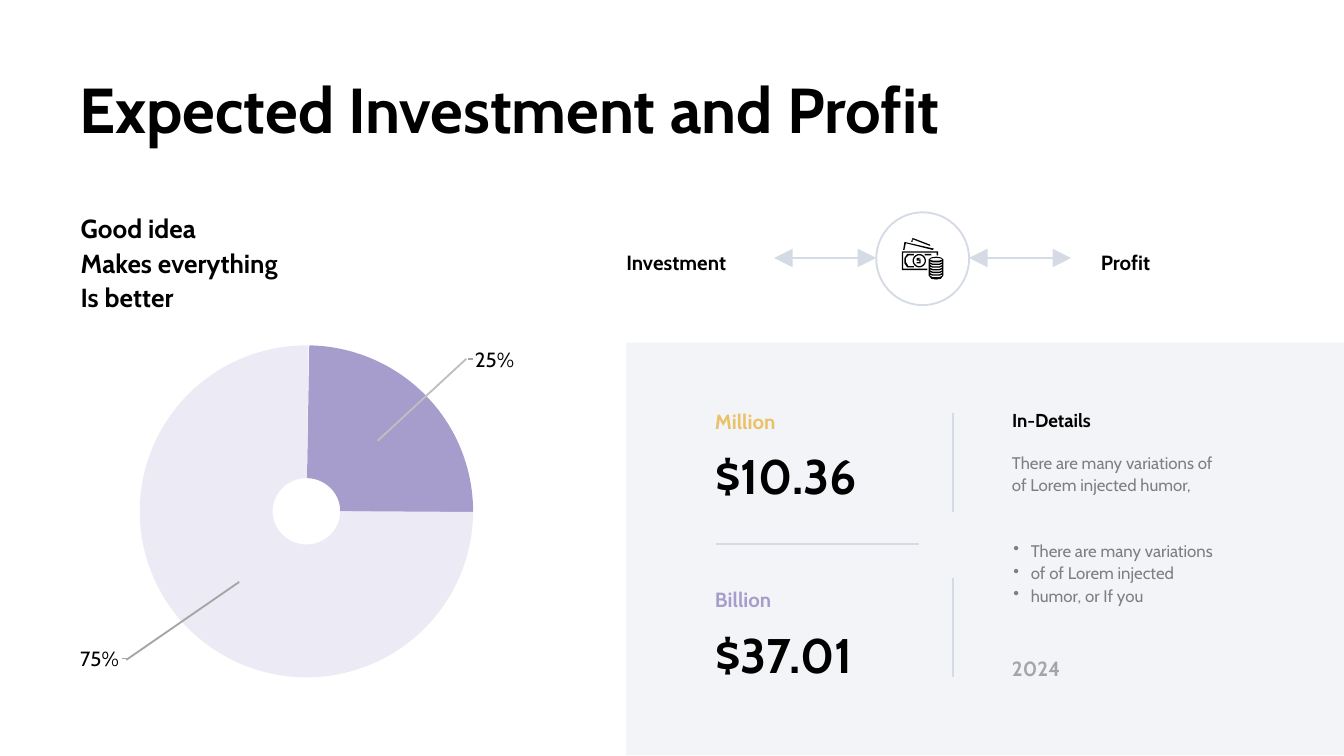
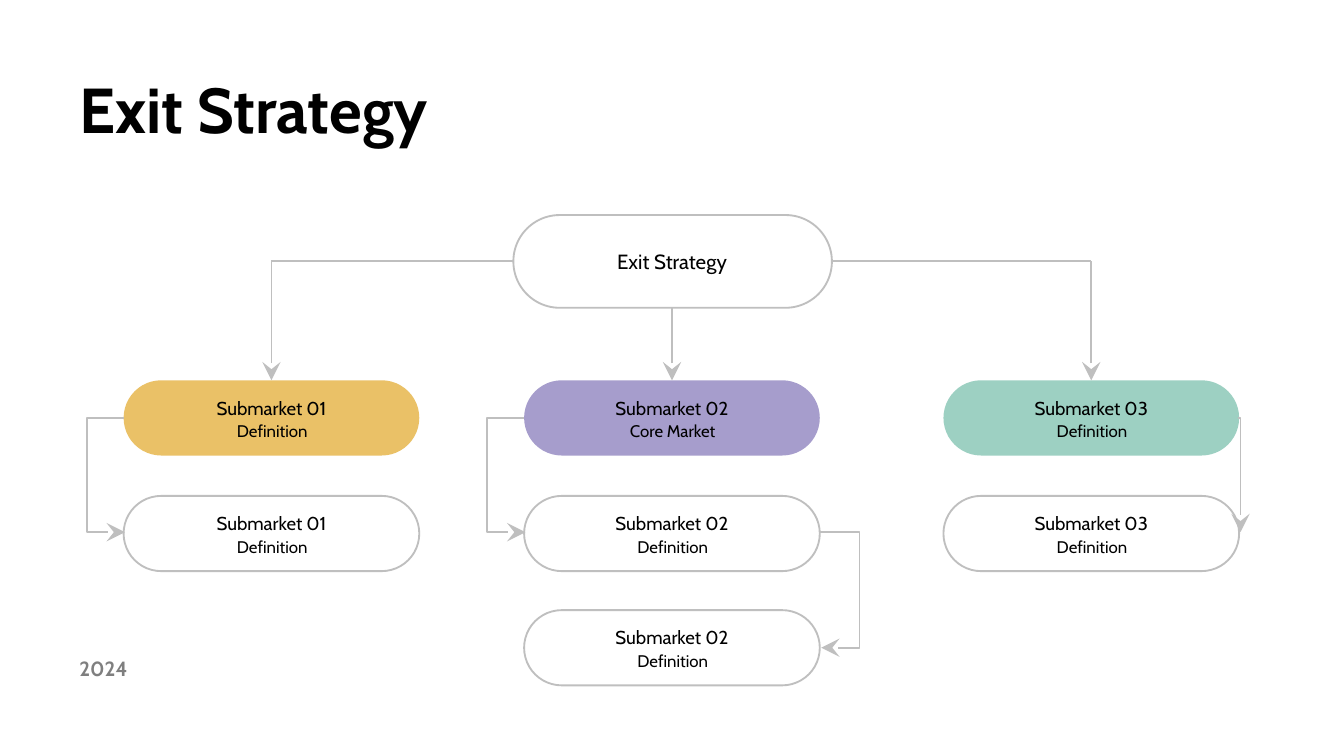
"""Build two business slides: expected investment and profit, and the exit strategy tree."""
import math

import lxml.etree
import pptx
import pptx.dml.color
import pptx.enum.shapes
import pptx.enum.text
import pptx.oxml.ns
import pptx.util

PX = 9144
FONT = "Cabin"
BLACK = pptx.dml.color.RGBColor(0x00, 0x00, 0x00)
WHITE = pptx.dml.color.RGBColor(0xFF, 0xFF, 0xFF)
GOLD = pptx.dml.color.RGBColor(0xEA, 0xC1, 0x67)
PURPLE = pptx.dml.color.RGBColor(0xA6, 0x9D, 0xCC)
LILAC = pptx.dml.color.RGBColor(0xEC, 0xEA, 0xF4)
MINT = pptx.dml.color.RGBColor(0x9D, 0xD0, 0xC2)
MIST = pptx.dml.color.RGBColor(0xD5, 0xDB, 0xE5)
SILVER = pptx.dml.color.RGBColor(0xBF, 0xBF, 0xBF)
ASH = pptx.dml.color.RGBColor(0xA5, 0xA5, 0xA5)
GRAY = pptx.dml.color.RGBColor(0x7F, 0x7F, 0x7F)
SHAPE = pptx.enum.shapes.MSO_SHAPE
CONNECTOR = pptx.enum.shapes.MSO_CONNECTOR
ALIGN = pptx.enum.text.PP_ALIGN
qn = pptx.oxml.ns.qn


def write_text(shapes, place, lines, size, color=BLACK, bold=False, align=ALIGN.LEFT, spacing=None, box=None):
    """Place a text box, or the given box, and write one paragraph a line."""
    box = box or shapes.add_textbox(0, 0, 0, 0)
    box.left, box.top, box.width, box.height = [value * PX for value in place]
    frame = box.text_frame
    frame.word_wrap = True
    frame.auto_size = pptx.enum.text.MSO_AUTO_SIZE.NONE
    frame.vertical_anchor = pptx.enum.text.MSO_ANCHOR.TOP
    frame.margin_left = frame.margin_right = 7 * PX
    frame.margin_top = frame.margin_bottom = 4 * PX
    frame.text = "\n".join(lines)
    for para in frame.paragraphs:
        para.alignment = align
        para.line_spacing = spacing
        para.font.name = FONT
        para.font.size = pptx.util.Pt(size)
        para.font.bold = bold
        para.font.color.rgb = color
    return box


def draw_line(page, start, end, color, width=1, arrows=(), kind=CONNECTOR.STRAIGHT):
    """Draw a connector; arrows lists (headEnd or tailEnd, arrow type)."""
    line = page.shapes.add_connector(kind, *[value * PX for value in start + end])
    line.line.color.rgb = color
    line.line.width = pptx.util.Pt(width)
    properties = line.element.spPr
    for side, arrow in arrows:
        lxml.etree.SubElement(properties.find(qn("a:ln")), qn("a:" + side), type=arrow, w="lg", len="lg")
    lxml.etree.SubElement(properties, qn("a:effectLst"))
    return line


deck = pptx.Presentation()
deck.slide_width = 1000 * PX
deck.slide_height = deck.slide_width * 9 // 16
pages = []
for heading in ("Expected Investment and Profit", "Exit Strategy"):
    page = deck.slides.add_slide(deck.slide_layouts[5])
    write_text(page.shapes, (52, 48, 807, 65), [heading], 34, bold=True, box=page.shapes.title)
    pages.append(page)
profit, strategy = pages

draw_line(strategy, (202, 194), (812, 194), SILVER)

columns = [
    (92, "Submarket 01", GOLD, ["Definition", "Definition"]),
    (390, "Submarket 02", PURPLE, ["Core Market", "Definition", "Definition"]),
    (702, "Submarket 03", MINT, ["Definition", "Definition"]),
]
rows = (283, 369, 454)
pie = (104, 257, 248, 247)
panels = [
    (profit, SHAPE.BLOCK_ARC, pie, (162.59, 0.16, 0.4), PURPLE, None),
    (profit, SHAPE.BLOCK_ARC, pie, (0.11, 162.44, 0.4), LILAC, None),
    (profit, SHAPE.OVAL, (652, 158, 69, 69), (), None, MIST),
    (profit, SHAPE.RECTANGLE, (466, 255, 534, 307), (), MIST, None),
    (strategy, SHAPE.ROUNDED_RECTANGLE, (382, 160, 237, 69), (0.5,), WHITE, SILVER),
]
for left, name, color, notes in columns:
    for row, (top, note) in enumerate(zip(rows, notes)):
        fill, edge = (None, SILVER) if row else (color, None)
        panels.append((strategy, SHAPE.ROUNDED_RECTANGLE, (left, top, 220, 56), (0.5,), fill, edge))

for page, kind, place, adjustments, fill, edge in panels:
    panel = page.shapes.add_shape(kind, *[value * PX for value in place])
    panel.shadow.inherit = False
    for index, adjustment in enumerate(adjustments):
        panel.adjustments[index] = adjustment
    if fill is None:
        panel.fill.background()
    else:
        panel.fill.solid()
        panel.fill.fore_color.rgb = fill
    if edge is None:
        panel.line.fill.background()
    else:
        panel.line.color.rgb = edge
        panel.line.width = pptx.util.Pt(1)
    if kind == SHAPE.RECTANGLE:
        tint = panel.element.spPr.find(qn("a:solidFill"))[0]
        lxml.etree.SubElement(tint, qn("a:alpha"), val="28000")

for top, unit, color, amount in ((300, "Million", GOLD, "$10.36"), (433, "Billion", PURPLE, "$37.01")):
    group = profit.shapes.add_group_shape()
    write_text(group.shapes, (525, top + 28, 138, 47), [amount], 26, bold=True)
    write_text(group.shapes, (525, top, 94, 25), [unit], 11, color, bold=True)

write_text(profit.shapes, (459, 182, 154, 24), ["Investment"], 11, bold=True)
write_text(profit.shapes, (812, 182, 138, 24), ["Profit"], 11, bold=True)
write_text(profit.shapes, (53, 152, 235, 83), ["Good idea", "Makes everything", "Is better"], 14, bold=True, spacing=1.1)
write_text(profit.shapes, (746, 300, 139, 24), ["In-Details"], 10, bold=True)
write_text(profit.shapes, (746, 331, 166, 56), ["There are many variations of of Lorem injected humor,"], 9, GRAY, spacing=1.1)
details = ["There are many variations", "of of Lorem injected", "humor, or If you"]
bullets = write_text(profit.shapes, (746, 397, 180, 56), details, 9, GRAY, spacing=1.1)
for para in bullets.text_frame.paragraphs:
    settings = para._p.pPr
    settings.set("marL", str(14 * PX))
    settings.set("indent", str(-13 * PX))
    defaults = settings.find(qn("a:defRPr"))
    tint = lxml.etree.Element(qn("a:buClr"))
    lxml.etree.SubElement(tint, qn("a:srgbClr"), val=str(GRAY))
    defaults.addprevious(tint)
    defaults.addprevious(lxml.etree.Element(qn("a:buChar"), char="•"))
write_text(profit.shapes, (746, 484, 204, 25), ["2024"], 11, ASH, bold=True)
for place, share in (((44, 477, 60, 24), "75%"), ((345, 254, 46, 24), "25%")):
    write_text(profit.shapes, place, [share], 11, align=ALIGN.CENTER)

for left in (576, 721):
    both = [("headEnd", "triangle"), ("tailEnd", "triangle")]
    draw_line(profit, (left, 192), (left + 76, 192), MIST, 0.75, both)
for start, end, color in (
    ((533, 405), (684, 405), MIST),
    ((709, 381), (709, 307), MIST),
    ((709, 504), (709, 430), MIST),
    ((178, 433), (94, 491), ASH),
    ((95, 490), (91, 490), ASH),
    ((352, 267), (348, 267), ASH),
    ((347, 267), (281, 328), SILVER),
):
    draw_line(profit, start, end, color)

money = [
    [(671, 187), (698, 187), (698, 190), (697, 190), (697, 188), (672, 188), (672, 200), (690, 200), (690, 201), (671, 201)],
    [(672, 186), (673, 180), (695, 185), (694, 186), (674, 181), (673, 186)],
    [(678, 180), (679, 177), (692, 182), (692, 183), (679, 178), (679, 180)],
    [(688, 189), (693, 189), (693, 190), (688, 190)],
    [(680, 189), (675, 189), (673, 192), (673, 196), (675, 199), (680, 199),
     (680, 198), (676, 198), (674, 195), (674, 192), (676, 190), (680, 190)],
    [(685, 192), (682, 192), (682, 194), (684, 194), (684, 195), (682, 195), (682, 196), (685, 196), (685, 193), (683, 193)],
    [(691, 193), (693, 191.5), (696.5, 191), (700, 191.5), (702, 193),
     (702, 205), (700, 207.5), (696.5, 208), (693, 207.5), (691, 205)],
]
for center_x, center_y, radius_x, radius_y in ((684, 194, 5, 5), (684, 194, 4, 4), (696.5, 193, 4.5, 1)):
    angles = [step * math.pi / 12 for step in range(24)]
    money.append([(center_x + radius_x * math.cos(angle), center_y + radius_y * math.sin(angle)) for angle in angles])
for top in range(195, 206, 2):
    money.append([(692, top - 0.6), (694, top + 0.2), (699, top + 0.2), (701, top - 0.6),
                  (701, top + 0.2), (699, top + 1.2), (694, top + 1.2), (692, top + 0.2)])
outlines = [[(x * 10, y * 10) for x, y in outline] for outline in money]
builder = profit.shapes.build_freeform(*outlines[0][0], scale=PX / 10)
for outline in outlines:
    builder.move_to(*outline[0])
    builder.add_line_segments(outline[1:], close=True)
icon = builder.convert_to_shape()
icon.shadow.inherit = False
icon.fill.solid()
icon.fill.fore_color.rgb = BLACK
icon.line.fill.background()

for x, top in ((202, 194), (812, 194), (500, 229)):
    draw_line(strategy, (x, 283), (x, top), SILVER, arrows=[("headEnd", "stealth")])
for start, end, bend in (
    ((92, 311), (93, 396), -28),
    ((390, 311), (391, 396), -28),
    ((610, 396), (611, 482), 30),
    ((921, 311), (923, 396), None),
):
    elbow = draw_line(strategy, start, end, SILVER, arrows=[("tailEnd", "stealth")], kind=CONNECTOR.ELBOW)
    geometry = elbow.element.spPr.find(qn("a:prstGeom"))
    if bend is None:
        geometry.set("prst", "bentConnector2")
    else:
        guide = lxml.etree.SubElement(geometry.find(qn("a:avLst")), qn("a:gd"), name="adj1")
        guide.set("fmla", f"val {bend * 100000}")

write_text(strategy.shapes, (434, 181, 132, 27), ["Exit Strategy"], 11, align=ALIGN.CENTER)
for left, name, color, notes in columns:
    for top, note in zip(rows, notes):
        write_text(strategy.shapes, (left + 18, top + 8, 184, 24), [name], 10, align=ALIGN.CENTER)
        write_text(strategy.shapes, (left + 41, top + 26, 139, 23), [note], 9, align=ALIGN.CENTER)
write_text(strategy.shapes, (52, 484, 237, 25), ["2024"], 11, GRAY, bold=True)

deck.save("out.pptx")
